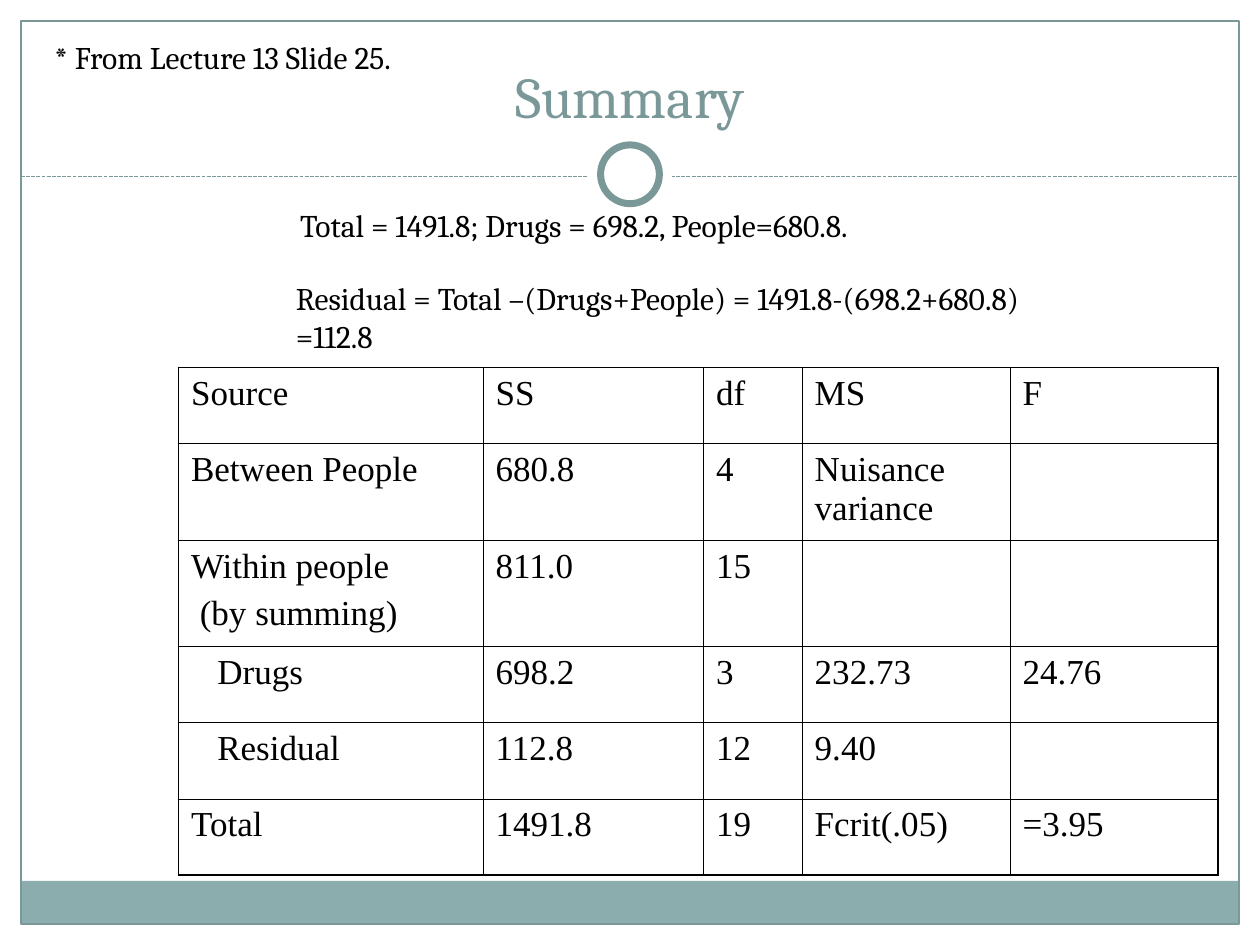
"""Build the ANOVA summary slide on a grid of 120 columns by 90 rows."""
import pptx
import pptx.dml.color
import pptx.enum.dml
import pptx.enum.shapes
import pptx.enum.text
import pptx.oxml
import pptx.oxml.ns
import pptx.util

SHAPE = pptx.enum.shapes.MSO_SHAPE
COLORS = {"paper": "FFFFFF", "ink": "000000", "accent": "7B9899", "footer": "8CADAE"}


def color(name):
    return pptx.dml.color.RGBColor.from_string(COLORS[name])


def grid(*units):
    return [pptx.util.Inches(unit / 12) for unit in units]


class SlideBuilder:
    serif = "Cambria"
    table_font = "Times New Roman"
    thin, thick = 0.45, 1.08
    paragraph_gap = 5

    def __init__(self, deck):
        self.page = deck.slides.add_slide(deck.slide_layouts[5])

    def add_span(self, para, text, size, font, ink="ink"):
        span = para.add_run()
        span.text = text
        span.font.size = pptx.util.Pt(size)
        span.font.name = font
        span.font.color.rgb = color(ink)

    def shape(self, kind, place, fill=None, line=None, weight=0.75):
        item = self.page.shapes.add_shape(kind, *grid(*place))
        item.shadow.inherit = False
        if fill:
            item.fill.solid()
            item.fill.fore_color.rgb = color(fill)
        else:
            item.fill.background()
        if line:
            item.line.color.rgb = color(line)
            item.line.width = pptx.util.Pt(weight)
        else:
            item.line.fill.background()

    def dashed_rule(self, left, right, row):
        rule = self.page.shapes.add_connector(
            pptx.enum.shapes.MSO_CONNECTOR.STRAIGHT, *grid(left, row, right, row))
        rule.line.color.rgb = color("accent")
        rule.line.width = pptx.util.Pt(0.75)
        rule.line.dash_style = pptx.enum.dml.MSO_LINE.SQUARE_DOT
        properties = rule.element.find(pptx.oxml.ns.qn("p:spPr"))
        properties.append(properties.makeelement(pptx.oxml.ns.qn("a:effectLst"), {}))

    def title(self, place, text):
        box = self.page.shapes.title
        box.left, box.top, box.width, box.height = grid(*place)
        box.element.getparent().append(box.element)
        box.text_frame.vertical_anchor = pptx.enum.text.MSO_ANCHOR.BOTTOM
        para = box.text_frame.paragraphs[0]
        para.alignment = pptx.enum.text.PP_ALIGN.CENTER
        self.add_span(para, text, 33, self.serif, "accent")

    def text(self, place, lines):
        frame = self.page.shapes.add_textbox(*grid(*place)).text_frame
        frame.word_wrap = True
        for index, line in enumerate(lines):
            para = frame.add_paragraph() if index else frame.paragraphs[0]
            self.add_span(para, line, 18, self.serif)

    def borders(self, cell, outer_sides):
        properties = cell._tc.get_or_add_tcPr()
        for side in "LRTB":
            width = pptx.util.Pt(self.thick if side in outer_sides else self.thin)
            properties.append(pptx.oxml.parse_xml(
                f'<a:ln{side} {pptx.oxml.ns.nsdecls("a")} w="{int(width)}"><a:solidFill>'
                f'<a:srgbClr val="{COLORS["ink"]}"/></a:solidFill></a:ln{side}>'))

    def fill_cell(self, cell, lines, indents):
        for index, (line, indent) in enumerate(zip(lines, indents)):
            para = cell.text_frame.add_paragraph() if index else cell.text_frame.paragraphs[0]
            if index:
                para.space_before = pptx.util.Pt(self.paragraph_gap)
            if indent:
                properties = para._p.get_or_add_pPr()
                properties.set("marL", str(int(pptx.util.Pt(indent))))
                properties.set("indent", "0")
            self.add_span(para, line, 20, self.table_font)

    def table(self, left, top, columns, heights, rows, indents):
        table = self.page.shapes.add_table(
            len(rows), len(columns), *grid(left, top, sum(columns), sum(heights))).table
        table.first_row = table.horz_banding = False
        for column, width in zip(table.columns, grid(*columns)):
            column.width = width
        for row, height in zip(table.rows, grid(*heights)):
            row.height = height
        last_row, last_column = len(rows) - 1, len(columns) - 1
        for r, row in enumerate(rows):
            for c, content in enumerate(row):
                cell = table.cell(r, c)
                edges = {"L": c == 0, "R": c == last_column, "T": r == 0, "B": r == last_row}
                self.borders(cell, [side for side, outer in edges.items() if outer])
                cell.fill.background()
                if content:
                    lines = content.split("\n")
                    self.fill_cell(cell, lines, indents.get((r, c), [0] * len(lines)))


def main():
    deck = pptx.Presentation()
    deck.slide_width, deck.slide_height = grid(120, 90)
    slide = SlideBuilder(deck)

    for margin in ((0, 0, 120, 18.2), (0, 0, 2, 90), (118, 0, 2, 90)):
        slide.shape(SHAPE.RECTANGLE, margin, "paper")
    slide.shape(SHAPE.RECTANGLE, (2, 83.9, 116, 4.1), "footer")
    slide.shape(SHAPE.RECTANGLE, (2, 2, 116, 86), line="accent")
    slide.dashed_rule(2, 118, 16.8)
    slide.shape(SHAPE.OVAL, (56, 12.6, 8, 8), "paper")
    slide.shape(SHAPE.OVAL, (57.2, 13.8, 5.6, 5.6), "paper", "accent", 4)

    slide.title((4, 3, 112, 10), "Summary")
    slide.text((27.4, 19, 63.7, 4.8), ["Total = 1491.8; Drugs = 698.2, People=680.8."])
    slide.text((27, 26, 81, 8.4), [
        "Residual = Total –(Drugs+People) = 1491.8-(698.2+680.8)", "=112.8"])
    slide.table(
        17, 35, (29, 21, 9.4, 19.8, 19.8), (7.25, 9.25, 10.1, 7.25, 7.25, 7.25),
        [("Source", "SS", "df", "MS", "F"),
         ("Between People", "680.8", "4", "Nuisance variance", ""),
         ("Within people\n(by summing)", "811.0", "15", "", ""),
         ("Drugs", "698.2", "3", "232.73", "24.76"),
         ("Residual", "112.8", "12", "9.40", ""),
         ("Total", "1491.8", "19", "Fcrit(.05)", "=3.95")],
        {(2, 0): [0, 5], (3, 0): [15], (4, 0): [15]})
    slide.text((4, 3, 44, 4.8), ["* From Lecture 13 Slide 25."])
    deck.save("out.pptx")


if __name__ == "__main__":
    main()
